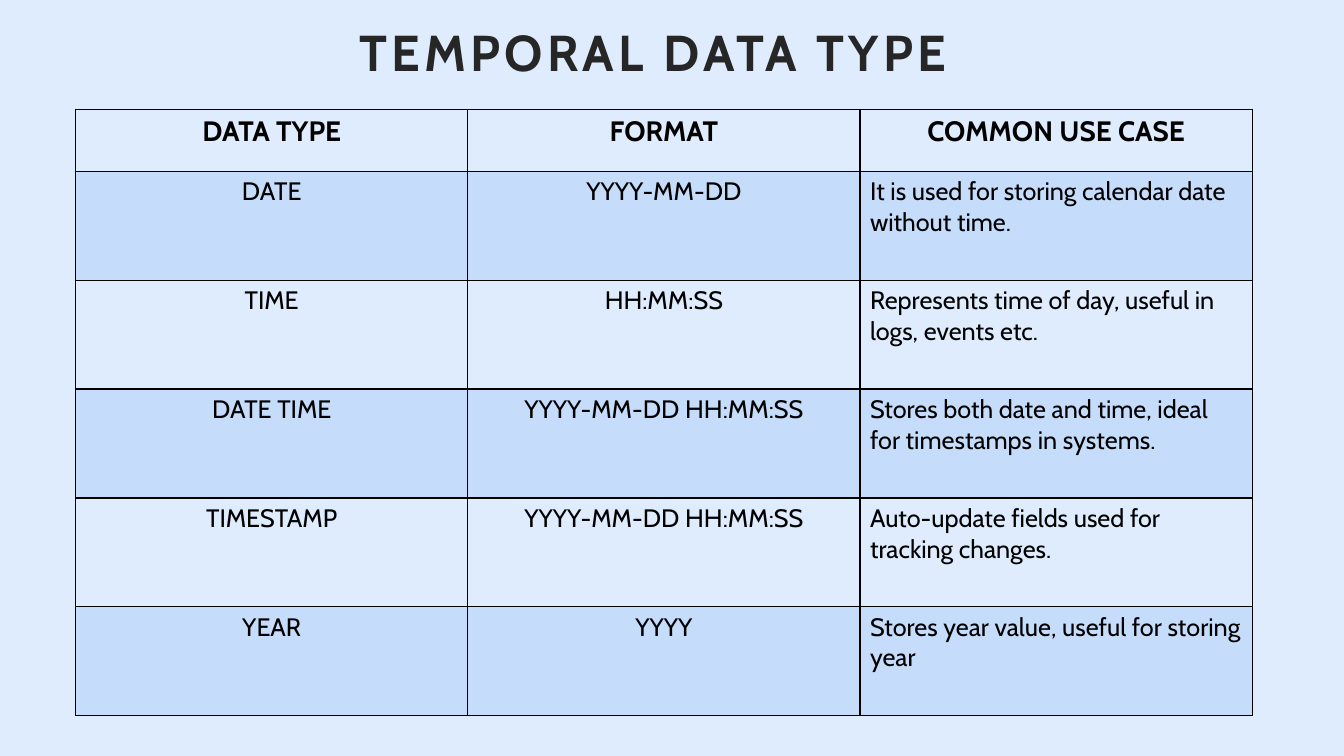
from lxml.etree import SubElement
from pptx import Presentation
from pptx.dml.color import RGBColor
from pptx.enum.text import MSO_ANCHOR, PP_ALIGN
from pptx.oxml import parse_xml
from pptx.oxml.ns import nsdecls, qn
from pptx.util import Inches, Pt


def color(hex_value):
    return RGBColor.from_string(hex_value)


def write(frame, text, size, bold=False, ink="000000", align=PP_ALIGN.CENTER,
          tracking=None, line_spacing=None):
    paragraph = frame.paragraphs[0]
    paragraph.alignment = align
    paragraph.line_spacing = line_spacing
    run = paragraph.add_run()
    run.text = text
    run.font.name = "Cabin"
    run.font.size = Pt(size)
    run.font.bold = bold
    run.font.color.rgb = color(ink)
    if tracking:
        run.font._element.set("spc", str(tracking * 100))


ROWS = [
    ("DATA TYPE", "FORMAT", "COMMON USE CASE"),
    ("DATE", "YYYY-MM-DD", "It is used for storing calendar date without time."),
    ("TIME", "HH:MM:SS", "Represents time of day, useful in logs, events etc."),
    ("DATE TIME", "YYYY-MM-DD HH:MM:SS",
     "Stores both date and time, ideal for timestamps in systems."),
    ("TIMESTAMP", "YYYY-MM-DD HH:MM:SS",
     "Auto-update fields used for tracking changes."),
    ("YEAR", "YYYY", "Stores year value, useful for storing year"),
]

deck = Presentation()
deck.slide_width, deck.slide_height = Inches(13.33), Inches(7.5)
slide = deck.slides.add_slide(deck.slide_layouts[6])
slide.background.fill.solid()
slide.background.fill.fore_color.rgb = color("DFECFD")

title = slide.shapes.add_textbox(
    Inches(0.75), Inches(0.29), Inches(11.46), Inches(0.52)).text_frame
title.word_wrap = True
title.vertical_anchor = MSO_ANCHOR.MIDDLE
title.margin_left = title.margin_right = title.margin_top = title.margin_bottom = 0
write(title, "TEMPORAL DATA TYPE", 36, bold=True, ink="262626",
      tracking=3, line_spacing=0.9)

types_table = slide.shapes.add_table(
    len(ROWS), 3, Inches(0.75), Inches(1.09), Inches(11.67), Inches(6.02)).table
types_table.first_row = types_table.horz_banding = False
for column in types_table.columns:
    column.width = Inches(3.89)

for r, row in enumerate(ROWS):
    is_header = r == 0
    types_table.rows[r].height = Inches(0.61 if is_header else 1.08)
    for c, text in enumerate(row):
        cell = types_table.cell(r, c)
        is_description = c == 2 and not is_header
        write(cell.text_frame, text, 20 if is_header else 18, bold=is_header,
              align=PP_ALIGN.LEFT if is_description else PP_ALIGN.CENTER)
        if r % 2:
            cell.fill.solid()
            cell.fill.fore_color.rgb = color("60A2F5")
        else:
            cell.fill.background()
        properties = cell._tc.get_or_add_tcPr()
        for tint in properties.iter(qn("a:srgbClr")):
            SubElement(tint, qn("a:alpha"), val="20000")
        for position, side in enumerate(("lnL", "lnR", "lnT", "lnB")):
            properties.insert(position, parse_xml(
                f'<a:{side} {nsdecls("a")} w="12700"><a:solidFill>'
                f'<a:srgbClr val="000000"/></a:solidFill></a:{side}>'))

deck.save("out.pptx")
